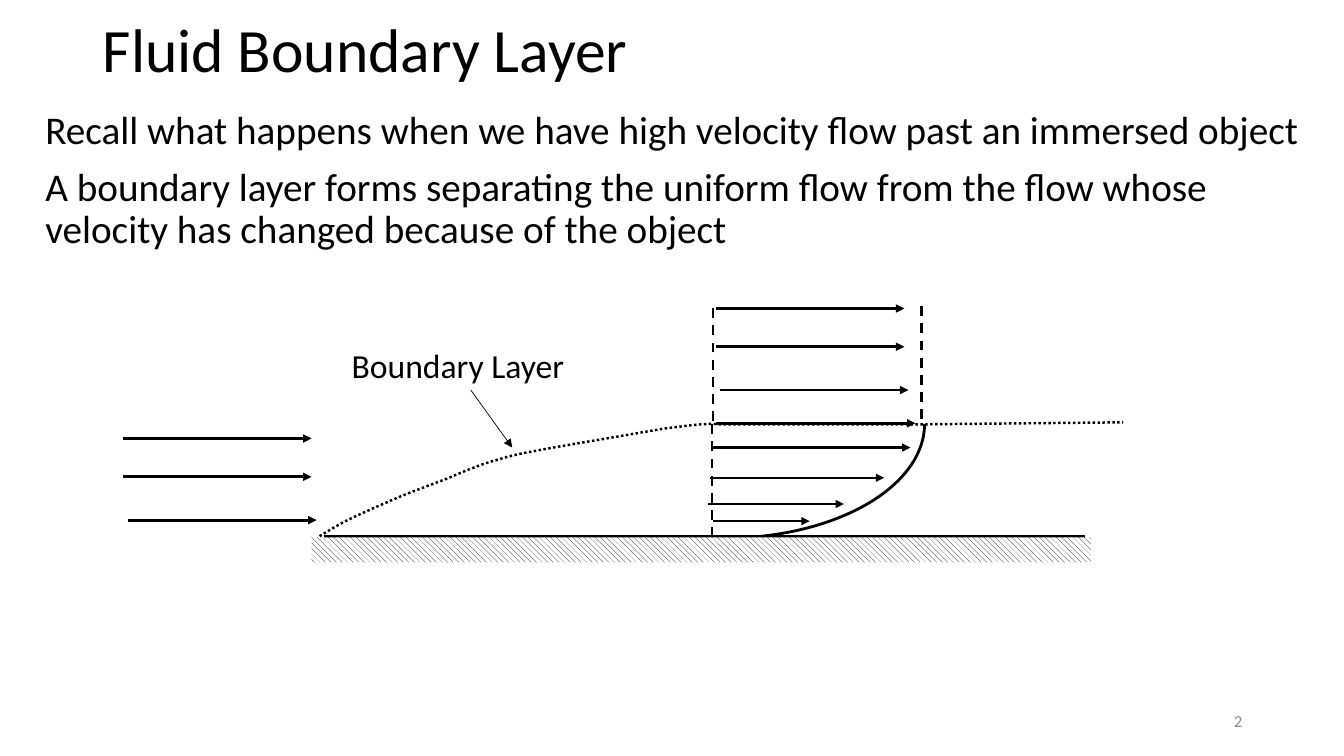
from dataclasses import dataclass

from lxml.etree import SubElement
from pptx import Presentation
from pptx.dml.color import RGBColor
from pptx.enum.dml import MSO_LINE, MSO_PATTERN
from pptx.enum.shapes import MSO_CONNECTOR, MSO_SHAPE
from pptx.enum.text import MSO_ANCHOR, MSO_AUTO_SIZE, PP_ALIGN
from pptx.oxml.ns import qn
from pptx.util import Inches, Pt


@dataclass(frozen=True)
class Theme:
    font: str = "Calibri"
    ink: RGBColor = RGBColor(0, 0, 0)
    paper: RGBColor = RGBColor(255, 255, 255)
    muted: RGBColor = RGBColor(0x8C, 0x8C, 0x8C)
    title: int = 44
    body: int = 28
    label: int = 24
    number: int = 12
    heavy: float = 2
    medium: float = 1.75
    hairline: float = 0.5


THEME = Theme()
COLUMNS, ROWS = 133.3, 75
CELL = Inches(0.1)
CURVE_STEPS = 10

INFLOW = [(12.2, 43.5), (12.2, 47.3), (12.7, 51.6)]
FREE_STREAM = [(71, 30.6), (71, 34.4), (71.4, 38.7)]
STREAM_LENGTH = 18.7
SLOWED_FLOW = [(71, 42, 19.8), (70.5, 44.4, 19.8), (70.4, 47.4, 17.3),
               (70.2, 50, 13.5), (70.7, 51.7, 9.6)]
SECTION_LINES = [(70.6, 53.3, 41.9), (70.7, 41.8, 30.4), (91.4, 41.6, 30.2)]
LAYER_START = (31.7, 53.2)
LAYER_CURVES = [
    ((32.7, 52.6), (33.6, 52), (35.1, 51.3)),
    ((36.6, 50.6), (39.1, 49.5), (40.6, 48.9)),
    ((42.2, 48.3), (44.3, 47.5), (44.3, 47.5)),
    ((45.7, 46.9), (47.8, 46), (49.4, 45.6)),
    ((51, 45.1), (52.2, 44.9), (53.8, 44.6)),
    ((55.4, 44.3), (59, 43.7), (59, 43.7)),
    ((59, 43.7), (66, 42.5), (66, 42.5)),
    ((67.8, 42.3), (69, 42.1), (69.8, 42.1)),
    ((70.7, 42), (71.1, 42.1), (71.1, 42.1)),
]
LAYER_TAIL = [(91.6, 42.1), (111.4, 41.9)]


def cells(*counts):
    return [round(count * CELL) for count in counts]


def write(holder, paragraphs, size, color=THEME.ink, align=PP_ALIGN.LEFT,
          anchor=MSO_ANCHOR.TOP, line_spacing=1.0, gap=0):
    frame = holder.text_frame
    frame.word_wrap = True
    frame.auto_size = MSO_AUTO_SIZE.NONE
    frame.vertical_anchor = anchor
    frame.text = "\n".join(paragraphs)
    for index, paragraph in enumerate(frame.paragraphs):
        properties = paragraph._p.get_or_add_pPr()
        properties.set("marL", "0")
        properties.set("indent", "0")
        SubElement(properties, qn("a:buNone"))
        paragraph.alignment = align
        paragraph.line_spacing = line_spacing
        paragraph.space_before = Pt(gap if index else 0)
        paragraph.font.name = THEME.font
        paragraph.font.size = Pt(size)
        paragraph.font.color.rgb = color


def place(holder, *box):
    holder.left, holder.top, holder.width, holder.height = cells(*box)
    return holder


def add_label(slide, box, text, size, **style):
    label = slide.shapes.add_textbox(*cells(*box))
    write(label, [text], size, **style)
    return label


def draw_line(line, width, dash=None):
    line.color.rgb = THEME.ink
    line.width = Pt(width)
    if dash:
        line.dash_style = dash


def add_segment(slide, start, end, width, dash=None, arrow=False):
    segment = slide.shapes.add_connector(
        MSO_CONNECTOR.STRAIGHT, *cells(*start, *end))
    draw_line(segment.line, width, dash)
    if arrow:
        SubElement(segment.line._get_or_add_ln(), qn("a:tailEnd"), type="triangle")
    SubElement(segment._element.spPr, qn("a:effectLst"))
    return segment


def add_flow(slide, column, row, length, width):
    add_segment(slide, (column, row), (column + length, row), width, arrow=True)


def add_profile(slide):
    profile = slide.shapes.add_shape(MSO_SHAPE.ARC, *cells(60.5, 22.2, 22.7, 39.7))
    profile.rotation = 90
    profile.shadow.inherit = False
    profile.fill.background()
    draw_line(profile.line, THEME.heavy)


def add_plate(slide):
    add_segment(slide, (32.1, 53.2), (107.6, 53.2), THEME.heavy)
    plate = slide.shapes.add_shape(MSO_SHAPE.RECTANGLE, *cells(30.9, 53.3, 77.3, 2.5))
    plate.shadow.inherit = False
    plate.fill.patterned()
    plate.fill.pattern = MSO_PATTERN.WIDE_DOWNWARD_DIAGONAL
    plate.fill.fore_color.rgb = THEME.ink
    plate.fill.back_color.rgb = THEME.paper
    plate.line.fill.background()


def curve_points(start, first, second, end):
    for step in range(1, CURVE_STEPS + 1):
        t = step / CURVE_STEPS
        u = 1 - t
        yield tuple(u**3 * a + 3 * u * u * t * b + 3 * u * t * t * c + t**3 * d
                    for a, b, c, d in zip(start, first, second, end))


def add_layer_edge(slide):
    points = [LAYER_START]
    for curve in LAYER_CURVES:
        points.extend(curve_points(points[-1], *curve))
    points.extend(LAYER_TAIL)
    builder = slide.shapes.build_freeform(*cells(*points[0]))
    builder.add_line_segments([cells(*point) for point in points[1:]], close=False)
    edge = builder.convert_to_shape()
    edge.shadow.inherit = False
    edge.fill.background()
    draw_line(edge.line, THEME.medium, MSO_LINE.ROUND_DOT)


def main():
    deck = Presentation()
    deck.slide_width, deck.slide_height = cells(COLUMNS, ROWS)
    slide = deck.slides.add_slide(deck.slide_layouts[1])

    title, recap = slide.placeholders
    write(place(title, 9.2, -2, 115, 14.5), ["Fluid Boundary Layer"], THEME.title,
          anchor=MSO_ANCHOR.MIDDLE, line_spacing=0.9)
    write(place(recap, 3.5, 10.5, 127.5, 55.5), [
        "Recall what happens when we have high velocity flow past an immersed object",
        "A boundary layer forms separating the uniform flow from the flow whose "
        "velocity has changed because of the object",
    ], THEME.body, line_spacing=0.9, gap=10)

    add_profile(slide)
    add_plate(slide)
    for column, row in INFLOW + FREE_STREAM:
        add_flow(slide, column, row, STREAM_LENGTH, THEME.heavy)
    for column, row, length in SLOWED_FLOW:
        add_flow(slide, column, row, length, THEME.medium)
    for column, bottom, top in SECTION_LINES:
        add_segment(slide, (column, bottom), (column, top), THEME.medium, MSO_LINE.DASH)
    add_layer_edge(slide)

    layer_name = add_label(slide, (33.9, 33.7, 25.6, 5), "Boundary Layer", THEME.label)
    pointer = add_segment(slide, (46.7, 38.7), (50.8, 44.4), THEME.hairline, arrow=True)
    pointer.begin_connect(layer_name, 2)

    add_label(slide, (94.2, 69.5, 30, 4), "2", THEME.number, color=THEME.muted,
              align=PP_ALIGN.RIGHT, anchor=MSO_ANCHOR.MIDDLE)
    deck.save("out.pptx")


if __name__ == "__main__":
    main()
